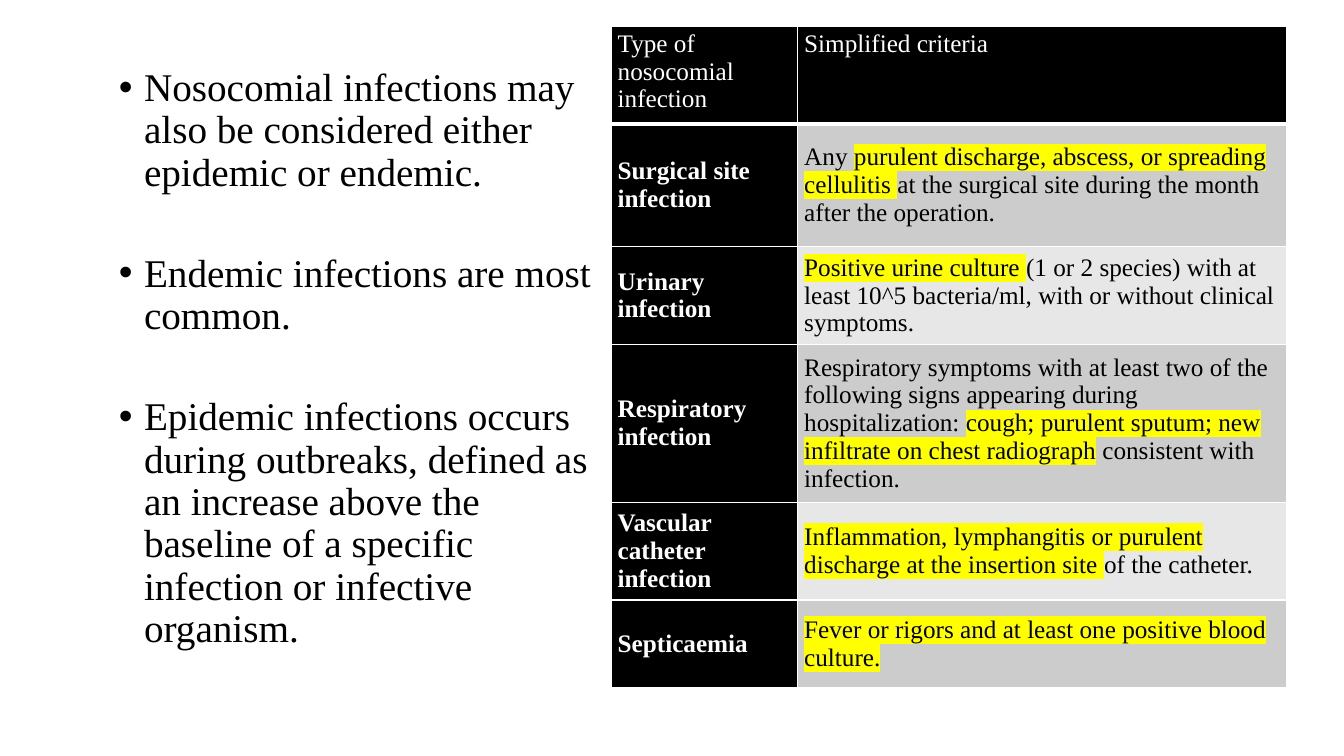
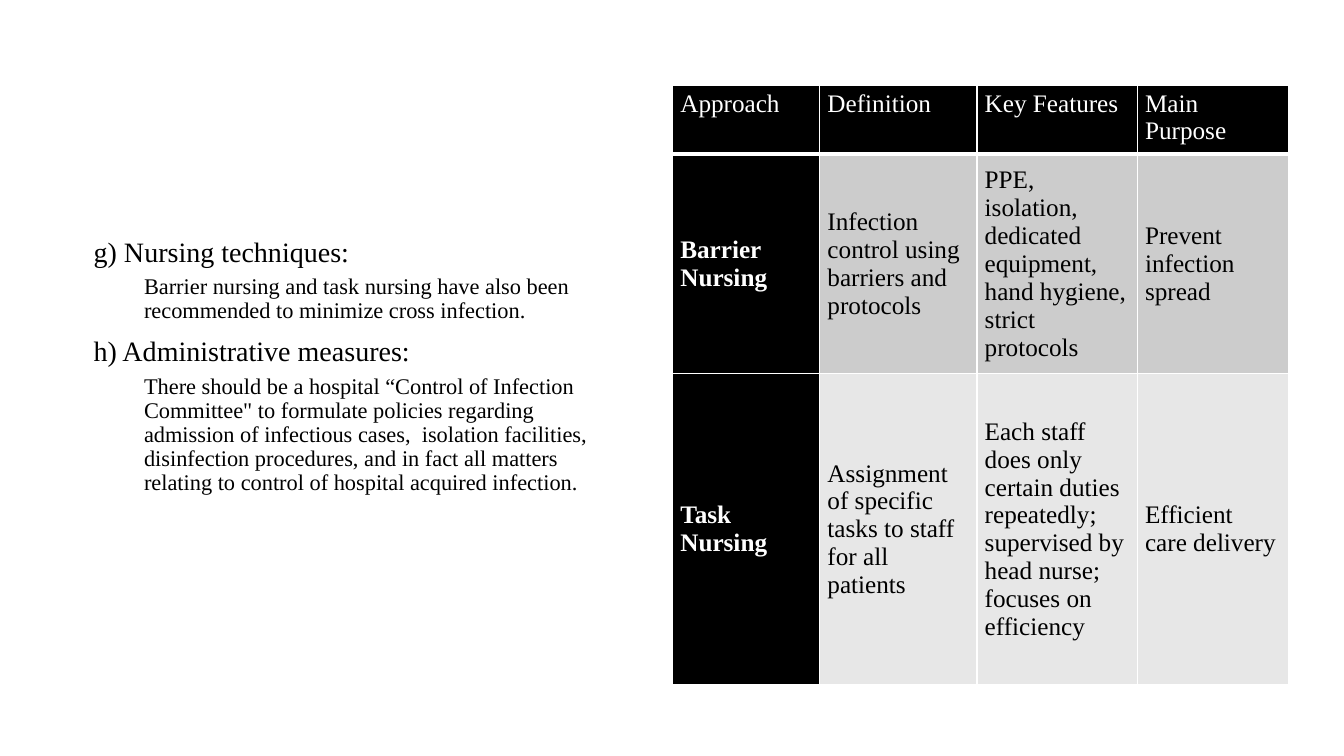
"""Build two slides on nosocomial infections, each with text beside a table."""

from dataclasses import dataclass
from typing import Optional

from lxml.etree import SubElement
from pptx import Presentation
from pptx.dml.color import RGBColor as Color
from pptx.enum.shapes import MSO_SHAPE as Preset
from pptx.enum.text import MSO_ANCHOR as Anchor
from pptx.oxml.ns import qn
from pptx.slide import Slide
from pptx.table import _Cell as Cell
from pptx.text.text import _Paragraph as Paragraph
from pptx.util import Inches, Pt


@dataclass(frozen=True)
class Theme:
    font: str = "Times New Roman"
    ink: str = "000000"
    paper: str = "FFFFFF"
    highlight: str = "FFFF00"
    stripes: tuple[str, str] = ("CCCCCC", "E7E7E7")
    bullet_size: int = 28
    heading_size: int = 20
    detail_size: int = 16
    table_size: int = 18
    line_spacing: float = 0.9
    rule: int = 1
    header_rule: int = 3


@dataclass(frozen=True)
class Area:
    """A rectangle in percent of the slide's size."""

    left: float
    top: float
    width: float
    height: float


@dataclass(frozen=True)
class TextStyle:
    size: int
    space_before: int
    level: int = 0
    indent: float = 0
    hanging: float = 0
    bullet: Optional[str] = None


@dataclass(frozen=True)
class TextBlock:
    area: Area
    lines: tuple[tuple[TextStyle, str], ...]


@dataclass(frozen=True)
class TableBlock:
    """A table in percent of the slide; bars in a cell's text enclose highlighted words."""

    left: float
    top: float
    columns: tuple[float, ...]
    rows: tuple[float, ...]
    margins: tuple[float, float]
    cells: tuple[tuple[str, ...], ...]


THEME = Theme()
SLIDE_WIDTH, SLIDE_HEIGHT = Inches(13.33), Inches(7.5)
BAND = Area(0, 0, 100, 25.33)
BULLET = TextStyle(THEME.bullet_size, 42, indent=3.75, hanging=1.88, bullet="•")
HEADING = TextStyle(THEME.heading_size, 10)
DETAIL = TextStyle(THEME.detail_size, 5, level=1, indent=3.75)

PAGES: tuple[tuple[TextBlock, TableBlock], ...] = (
    (
        TextBlock(
            Area(6.23, 5.07, 39.91, 84.93),
            (
                (BULLET, "Nosocomial infections may also be considered either epidemic or endemic."),
                (BULLET, "Endemic infections are most common."),
                (BULLET, "Epidemic infections occurs during outbreaks, defined as an increase above "
                 "the baseline of a specific infection or infective organism."),
            ),
        ),
        TableBlock(
            45.46, 3.47,
            columns=(13.88, 36.38),
            rows=(9.47, 16.27, 11.6, 20.93, 11.6, 11.6),
            margins=(0.5, 0.45),
            cells=(
                ("Type of nosocomial infection", "Simplified criteria"),
                ("Surgical site infection",
                 "Any |purulent discharge, abscess, or spreading cellulitis |"
                 "at the surgical site during the month after the operation."),
                ("Urinary infection",
                 "|Positive urine culture |(1 or 2 species) with at least 10^5 bacteria/ml, "
                 "with or without clinical symptoms."),
                ("Respiratory infection",
                 "Respiratory symptoms with at least two of the following signs appearing during "
                 "hospitalization: |cough; purulent sputum; new infiltrate on chest radiograph|"
                 " consistent with infection."),
                ("Vascular catheter infection",
                 "|Inflammation, lymphangitis or purulent discharge at the insertion site |"
                 "of the catheter."),
                ("Septicaemia", "|Fever or rigors and at least one positive blood culture.|"),
            ),
        ),
    ),
    (
        TextBlock(
            Area(6.23, 7.07, 39.91, 82.93),
            (
                (HEADING, "g) Nursing techniques:"),
                (DETAIL, "Barrier nursing and task nursing have also been recommended to minimize "
                 "cross infection."),
                (HEADING, "h) Administrative measures:"),
                (DETAIL, "There should be a hospital “Control of Infection Committee\" to formulate "
                 "policies regarding admission of infectious cases,  isolation facilities, "
                 "disinfection procedures, and in fact all matters relating to control of "
                 "hospital acquired infection."),
            ),
        ),
        TableBlock(
            50.04, 11.33,
            columns=(10.95, 11.7, 11.93, 11.25),
            rows=(7.2, 26.67, 41.2),
            margins=(0.58, 0.52),
            cells=(
                ("Approach", "Definition", "Key Features", "Main Purpose"),
                ("Barrier Nursing", "Infection control using barriers and protocols",
                 "PPE, isolation, dedicated equipment, hand hygiene, strict protocols",
                 "Prevent infection spread"),
                ("Task Nursing", "Assignment of specific tasks to staff for all patients",
                 "Each staff does only certain duties repeatedly; supervised by head nurse; "
                 "focuses on efficiency",
                 "Efficient care delivery"),
            ),
        ),
    ),
)


def across(percent: float) -> int:
    """Turn a percentage of the slide's width into a length."""
    return round(SLIDE_WIDTH * percent / 100)


def down(percent: float) -> int:
    """Turn a percentage of the slide's height into a length."""
    return round(SLIDE_HEIGHT * percent / 100)


def place(area: Area) -> tuple[int, int, int, int]:
    """Return the lengths of an area in the order that shapes take them."""
    return across(area.left), down(area.top), across(area.width), down(area.height)


def add_run(paragraph: Paragraph, text: str, *, size: int, color: str = THEME.ink,
            bold: bool = False, highlight: Optional[str] = None) -> None:
    """Add formatted text to a paragraph."""
    run = paragraph.add_run()
    run.text = text
    run.font.name = THEME.font
    run.font.size = Pt(size)
    run.font.bold = bold
    run.font.color.rgb = Color.from_string(color)
    if highlight:
        properties = run._r.get_or_add_rPr()
        marker = SubElement(properties, qn("a:highlight"))
        SubElement(marker, qn("a:srgbClr"), val=highlight)
        properties.find(qn("a:solidFill")).addnext(marker)


def add_band(slide: Slide) -> None:
    """Draw the plain band across the top of a slide."""
    band = slide.shapes.add_shape(Preset.RECTANGLE, *place(BAND))
    band.shadow.inherit = False
    band.fill.solid()
    band.fill.fore_color.rgb = Color.from_string(THEME.paper)
    band.line.fill.background()


def add_text(slide: Slide, block: TextBlock) -> None:
    """Draw a vertically centred block of styled paragraphs."""
    frame = slide.shapes.add_textbox(*place(block.area)).text_frame
    frame.word_wrap = True
    frame.vertical_anchor = Anchor.MIDDLE
    for index, (style, text) in enumerate(block.lines):
        paragraph = frame.add_paragraph() if index else frame.paragraphs[0]
        properties = paragraph._p.get_or_add_pPr()
        properties.set("marL", str(across(style.indent)))
        properties.set("indent", str(-across(style.hanging)))
        if style.bullet:
            SubElement(properties, qn("a:buFont"), typeface="Arial")
            SubElement(properties, qn("a:buChar"), char=style.bullet)
        paragraph.level = style.level
        paragraph.line_spacing = THEME.line_spacing
        if index:
            paragraph.space_before = Pt(style.space_before)
        add_run(paragraph, text, size=style.size)


def set_borders(cell: Cell, row: int) -> None:
    """Rule a cell on all sides, with a heavy rule under the header row."""
    properties = cell._tc.get_or_add_tcPr()
    heavy_side = {0: "lnB", 1: "lnT"}.get(row)
    for position, side in enumerate(("lnL", "lnR", "lnT", "lnB")):
        points = THEME.header_rule if side == heavy_side else THEME.rule
        line = properties.makeelement(qn(f"a:{side}"), {"w": str(Pt(points))})
        fill = SubElement(line, qn("a:solidFill"))
        SubElement(fill, qn("a:srgbClr"), val=THEME.paper)
        properties.insert(position, line)


def fill_cell(cell: Cell, text: str, row: int, column: int, margins: tuple[float, float]) -> None:
    """Give a cell its text, fill, margins and borders."""
    is_label = row == 0 or column == 0
    cell.margin_left = cell.margin_right = across(margins[0])
    cell.margin_top = cell.margin_bottom = down(margins[1])
    cell.vertical_anchor = Anchor.MIDDLE if row else Anchor.TOP
    cell.fill.solid()
    cell.fill.fore_color.rgb = Color.from_string(THEME.ink if is_label else THEME.stripes[(row - 1) % 2])
    set_borders(cell, row)
    for index, part in enumerate(text.split("|")):
        if part:
            add_run(cell.text_frame.paragraphs[0], part, size=THEME.table_size,
                    color=THEME.paper if is_label else THEME.ink,
                    bold=row > 0 and column == 0,
                    highlight=THEME.highlight if index % 2 else None)


def add_table(slide: Slide, block: TableBlock) -> None:
    """Draw a table with a dark header row and a dark label column."""
    area = Area(block.left, block.top, sum(block.columns), sum(block.rows))
    table = slide.shapes.add_table(len(block.rows), len(block.columns), *place(area)).table
    for column, width in zip(table.columns, block.columns):
        column.width = across(width)
    for row, height in zip(table.rows, block.rows):
        row.height = down(height)
    for row_index, texts in enumerate(block.cells):
        for column_index, text in enumerate(texts):
            fill_cell(table.cell(row_index, column_index), text, row_index, column_index, block.margins)


def main() -> None:
    """Build and save the presentation."""
    presentation = Presentation()
    presentation.slide_width, presentation.slide_height = SLIDE_WIDTH, SLIDE_HEIGHT
    for text_block, table_block in PAGES:
        slide = presentation.slides.add_slide(presentation.slide_layouts[6])
        add_band(slide)
        add_text(slide, text_block)
        add_table(slide, table_block)
    presentation.save("out.pptx")


if __name__ == "__main__":
    main()
